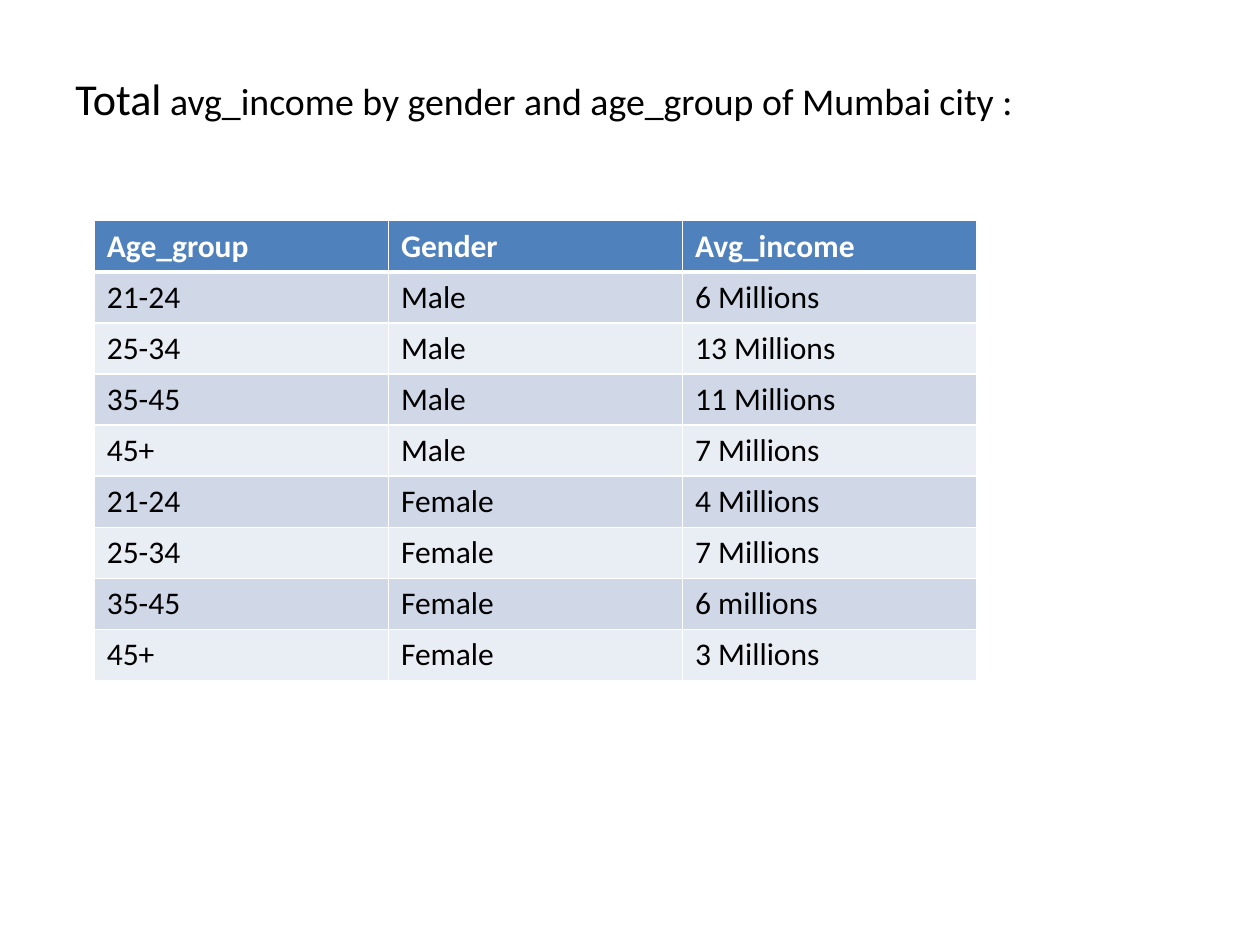
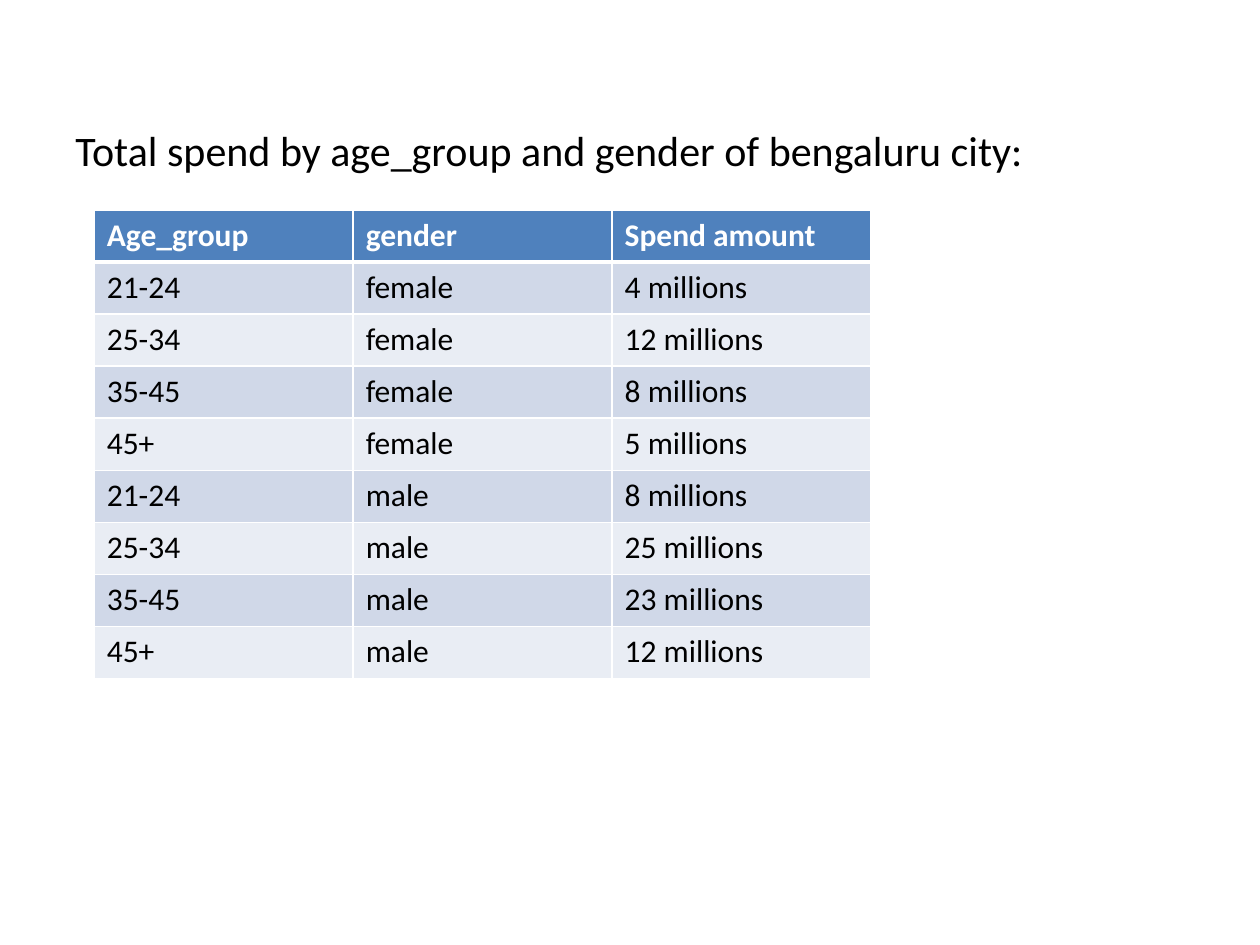
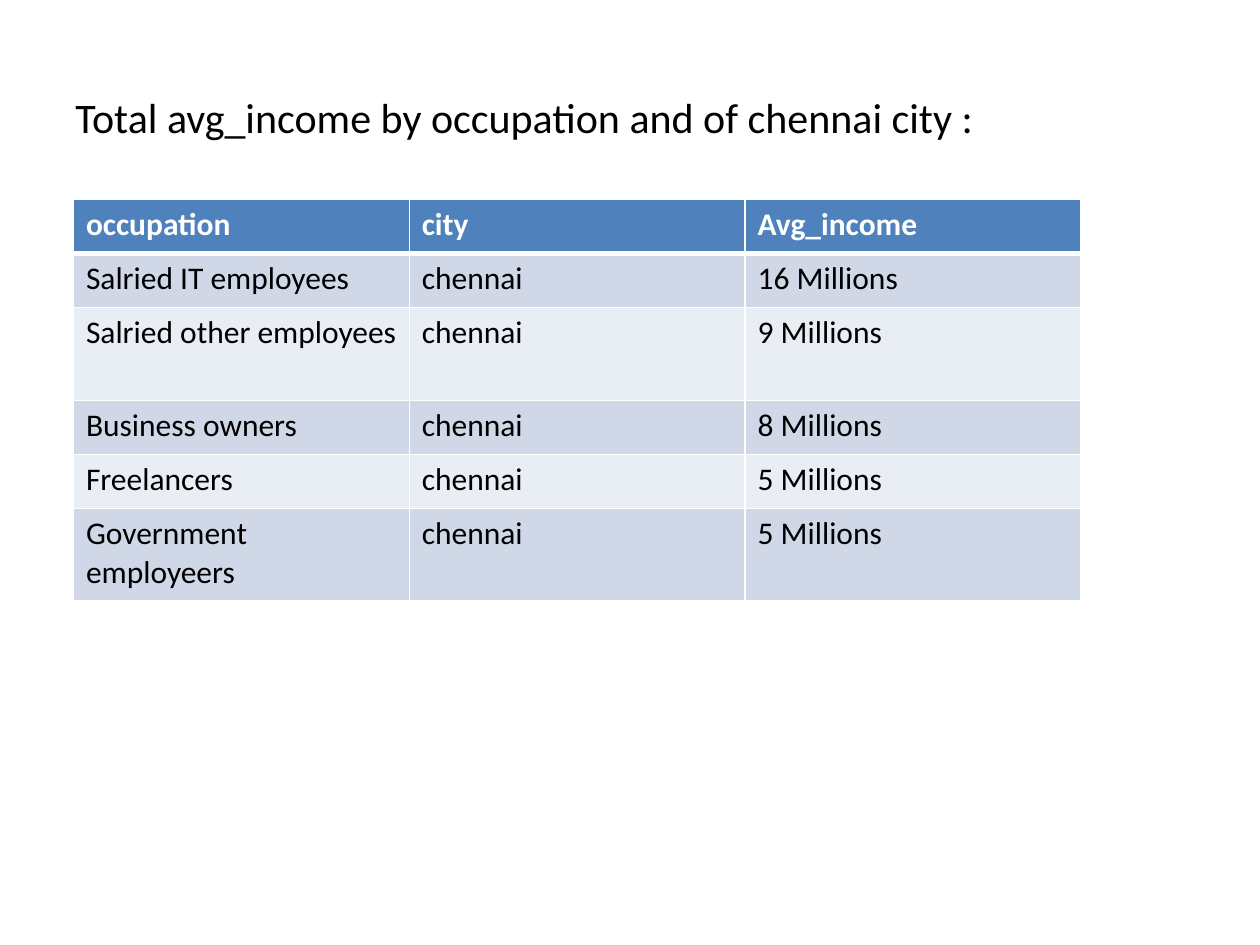
from dataclasses import dataclass

from lxml import etree
from pptx import Presentation
from pptx.dml.color import RGBColor
from pptx.enum.text import MSO_ANCHOR
from pptx.oxml.ns import qn
from pptx.util import Cm, Pt

MIDDLE = MSO_ANCHOR.MIDDLE
COLORS = {
    "text": "000000",
    "white": "FFFFFF",
    "header": "4F81BD",
    "band_dark": "D0D8E8",
    "band_light": "E9EDF4",
}
FONT = "Calibri"
HEADER_FORMAT = {"name": FONT, "size": Pt(18), "bold": True}
BODY_FORMAT = {"name": FONT, "size": Pt(18), "bold": False}
THIN, THICK = 1, 3
AGE_GROUPS = ["21-24", "25-34", "35-45", "45+"]


@dataclass
class Title:
    """Position in cm and runs as (text, size in points)."""
    left: float
    top: float
    width: float
    height: float
    runs: list[tuple[str, float]]


@dataclass
class Grid:
    """Position and sizes in cm; the first row is the header."""
    left: float
    top: float
    col_width: float
    row_heights: list[float]
    rows: list[tuple[str, ...]]


@dataclass
class TableSlide:
    title: Title
    grid: Grid


def rgb(name: str) -> RGBColor:
    return RGBColor.from_string(COLORS[name])


def format_font(font, color: str, values: dict) -> None:
    for key, value in values.items():
        setattr(font, key, value)
    font.color.rgb = rgb(color)


def set_borders(cell, widths: dict[str, int]) -> None:
    """Draw white cell borders; keys are L, R, T and B in schema order."""
    tc_pr = cell._tc.get_or_add_tcPr()
    for i, (side, width) in enumerate(widths.items()):
        ln = etree.Element(qn(f"a:ln{side}"), w=str(Pt(width)))
        fill = etree.SubElement(ln, qn("a:solidFill"))
        etree.SubElement(fill, qn("a:srgbClr"), val=COLORS["white"])
        tc_pr.insert(i, ln)


def add_title(s, title: Title) -> None:
    box = s.shapes.add_textbox(
        Cm(title.left), Cm(title.top), Cm(title.width), Cm(title.height))
    tf = box.text_frame
    tf.word_wrap = True
    tf.vertical_anchor = MIDDLE
    p = tf.paragraphs[0]
    for text, size in title.runs:
        r = p.add_run()
        r.text = text
        format_font(r.font, "text", {"name": FONT, "size": Pt(size)})


def fill_cell(cell, text: str, row: int) -> None:
    is_header = row == 0
    band = "band_dark" if row % 2 else "band_light"
    cell.fill.solid()
    cell.fill.fore_color.rgb = rgb("header" if is_header else band)
    set_borders(cell, {
        "L": THIN,
        "R": THIN,
        "T": THICK if row == 1 else THIN,
        "B": THICK if is_header else THIN,
    })
    p = cell.text_frame.paragraphs[0]
    r = p.add_run()
    r.text = text
    format_font(r.font, "white" if is_header else "text",
                HEADER_FORMAT if is_header else BODY_FORMAT)


def add_grid(s, grid: Grid) -> None:
    cols = len(grid.rows[0])
    table = s.shapes.add_table(
        len(grid.rows), cols, Cm(grid.left), Cm(grid.top),
        Cm(grid.col_width * cols), Cm(sum(grid.row_heights))).table
    table.horz_banding = False
    for column in table.columns:
        column.width = Cm(grid.col_width)
    for i, (height, texts) in enumerate(zip(grid.row_heights, grid.rows)):
        table.rows[i].height = Cm(height)
        for j, text in enumerate(texts):
            fill_cell(table.cell(i, j), text, i)


def rows_by_gender(amounts: dict[str, list[str]]) -> list[tuple[str, ...]]:
    return [(age, gender, amount)
            for gender, values in amounts.items()
            for age, amount in zip(AGE_GROUPS, values)]


SLIDES = [
    TableSlide(
        Title(1.27, 0.76, 19.89, 2.41, [
            ("Total", 25.2),
            (" avg_income by gender and age_group of Mumbai city :", 21.6),
        ]),
        Grid(1.9, 4.45, 5.93, [1.03] * 9, [
            ("Age_group", "Gender", "Avg_income"),
            *rows_by_gender({
                "Male": ["6 Millions", "13 Millions", "11 Millions", "7 Millions"],
                "Female": ["4 Millions", "7 Millions", "6 millions", "3 Millions"],
            }),
        ]),
    ),
    TableSlide(
        Title(1.27, 2.11, 22.86, 1.83, [
            ("Total spend by age_group and gender of bengaluru city:", 24),
        ]),
        Grid(1.9, 4.23, 5.22, [1.05] * 9, [
            ("Age_group", "gender", "Spend amount"),
            *rows_by_gender({
                "female": ["4 millions", "12 millions", "8 millions", "5 millions"],
                "male": ["8 millions", "25 millions", "23 millions", "12 millions"],
            }),
        ]),
    ),
    TableSlide(
        Title(1.27, 0.76, 22.86, 3.18, [
            ("Total avg_income by occupation and of chennai city :", 24),
        ]),
        Grid(1.48, 4.02, 6.77, [1.09, 1.09, 1.87, 1.09, 1.09, 1.87], [
            ("occupation", "city", "Avg_income"),
            ("Salried IT employees", "chennai", "16 Millions"),
            ("Salried other employees", "chennai", "9 Millions"),
            ("Business owners", "chennai", "8 Millions"),
            ("Freelancers", "chennai", "5 Millions"),
            ("Government employeers", "chennai", "5 Millions"),
        ]),
    ),
]


def main() -> None:
    prs = Presentation()
    prs.slide_width, prs.slide_height = Cm(25.4), Cm(19.05)
    blank = prs.slide_layouts[6]
    for table_slide in SLIDES:
        s = prs.slides.add_slide(blank)
        add_title(s, table_slide.title)
        add_grid(s, table_slide.grid)
    prs.save("out.pptx")


if __name__ == "__main__":
    main()
